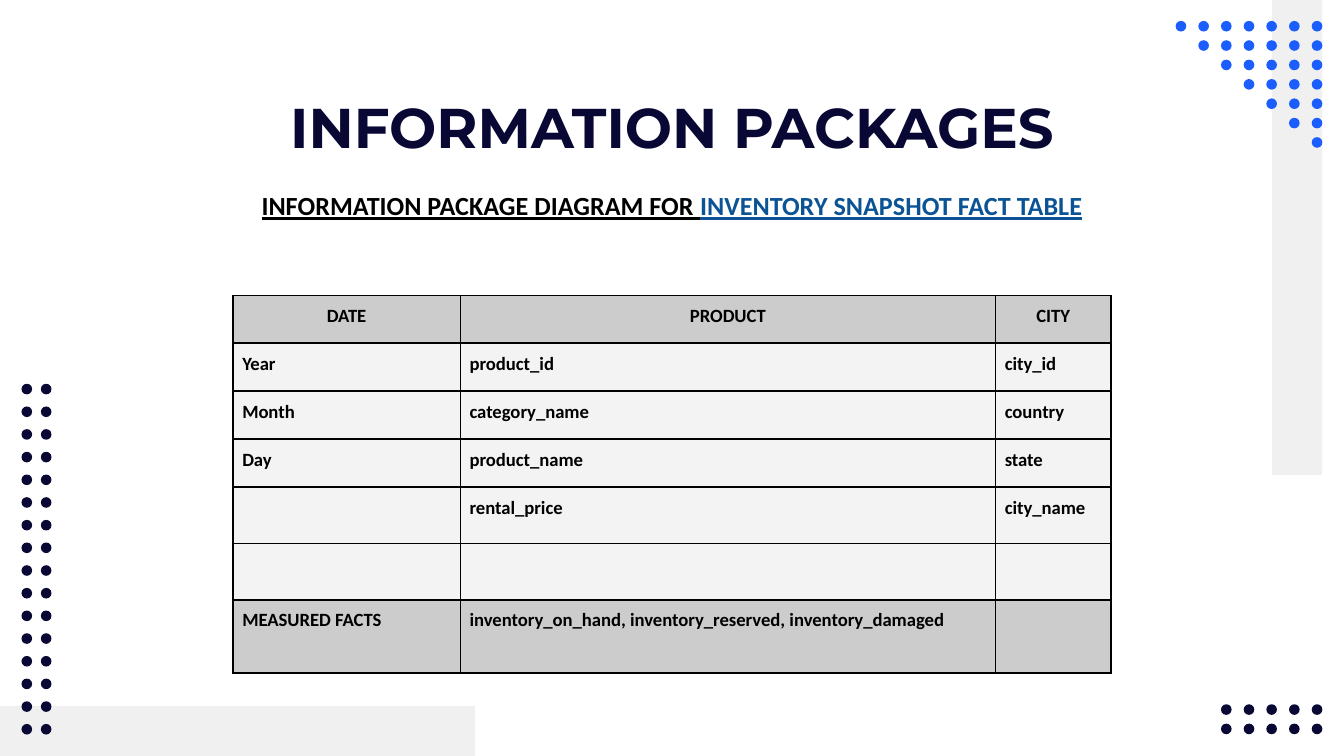
from lxml import etree
from pptx import Presentation
from pptx.dml.color import RGBColor
from pptx.enum.shapes import MSO_SHAPE as Shape
from pptx.enum.text import MSO_ANCHOR as Anchor, MSO_AUTO_SIZE as AutoSize, PP_ALIGN as Align
from pptx.oxml import parse_xml
from pptx.oxml.ns import nsdecls
from pptx.util import Pt

COLORS = {
    "navy": "090835", "blue": "1C5DFD", "bar": "F0F0F0", "black": "000000",
    "link": "0B5394", "band": "CCCCCC", "row": "F3F3F3",
}


def add_decor(kind, left, top, width, height, color):
    shape = slide.shapes.add_shape(kind, Pt(left), Pt(top), Pt(width), Pt(height))
    shape.shadow.inherit = False
    shape.fill.solid()
    shape.fill.fore_color.rgb = RGBColor.from_string(COLORS[color])
    shape.line.fill.background()


def style_run(run, font_name, size, color):
    run.font.name = font_name
    run.font.size = Pt(size)
    run.font.bold = True
    run.font.color.rgb = RGBColor.from_string(COLORS[color])


prs = Presentation()
prs.slide_width, prs.slide_height = Pt(720), Pt(405)
slide = prs.slides.add_slide(prs.slide_layouts[5])

# Grey bars along the bottom and right edges
add_decor(Shape.RECTANGLE, 0, 378.2, 254.4, 26.8, "bar")
add_decor(Shape.RECTANGLE, 681.5, 0, 26.8, 254.4, "bar")

# Dot patterns: a blue triangle, a left column pair and a corner block
DOT, WIDE, NARROW = 5.7, 12.15, 10.38
dots = [(629.8 + col * WIDE, 11.2 + row * NARROW, "blue")
        for row in range(7) for col in range(row, 7)]
dots += [(11.5 + col * NARROW, 205.6 + row * WIDE, "navy")
         for row in range(16) for col in range(2)]
dots += [(654.1 + col * WIDE, 377.3 + row * NARROW, "navy")
         for row in range(2) for col in range(5)]
for left, top, color in dots:
    add_decor(Shape.OVAL, left, top, DOT, DOT, color)

# Title
title = slide.shapes.title
title.left, title.top, title.width, title.height = Pt(56.7), Pt(42.5), Pt(606.6), Pt(45)
heading = title.text_frame
heading.text = "INFORMATION PACKAGES"
heading.auto_size = AutoSize.NONE
heading.vertical_anchor = Anchor.TOP
heading.margin_top = heading.margin_bottom = Pt(7.2)
heading.paragraphs[0].alignment = Align.CENTER
style_run(heading.paragraphs[0].runs[0], "Montserrat", 30, "navy")

# Subtitle
subtitle = slide.shapes.add_textbox(Pt(117.4), Pt(87.3), Pt(485.2), Pt(45)).text_frame
subtitle.word_wrap = True
subtitle.vertical_anchor = Anchor.MIDDLE
subtitle.paragraphs[0].alignment = Align.CENTER
for text, color in (("INFORMATION PACKAGE DIAGRAM FOR ", "black"),
                    ("INVENTORY SNAPSHOT FACT TABLE", "link")):
    run = subtitle.paragraphs[0].add_run()
    run.text = text
    style_run(run, "Calibri", 14, color)
    run.font.underline = True

# Information package table
package_rows = [
    ("DATE", "PRODUCT", "CITY"),
    ("Year", "product_id", "city_id"),
    ("Month", "category_name", "country"),
    ("Day", "product_name", "state"),
    ("", "rental_price", "city_name"),
    ("", "", ""),
    ("MEASURED FACTS", "inventory_on_hand, inventory_reserved, inventory_damaged", ""),
]
column_widths = [121.8, 286.7, 61.9]
row_heights = [25.7] * 4 + [30.2] * 2 + [39.2]
package = slide.shapes.add_table(
    len(package_rows), len(column_widths), Pt(124.8), Pt(158.2),
    Pt(sum(column_widths)), Pt(sum(row_heights))).table
package.first_row = package.horz_banding = False
for column, width in zip(package.columns, column_widths):
    column.width = Pt(width)

for r, (texts, height) in enumerate(zip(package_rows, row_heights)):
    package.rows[r].height = Pt(height)
    for c, text in enumerate(texts):
        cell = package.cell(r, c)
        properties = cell._tc.get_or_add_tcPr()
        for side in ("lnL", "lnR", "lnT", "lnB"):
            border = parse_xml(f'<a:{side} {nsdecls("a")} w="{Pt(1)}"/>')
            properties.append(border)
            fill = etree.SubElement(border, border.tag.replace(side, "solidFill"))
            etree.SubElement(fill, border.tag.replace(side, "srgbClr"), val=COLORS["black"])
        cell.fill.solid()
        shade = "band" if r in (0, len(package_rows) - 1) else "row"
        cell.fill.fore_color.rgb = RGBColor.from_string(COLORS[shade])
        if text:
            cell.margin_left = cell.margin_right = Pt(5)
            cell.margin_top = cell.margin_bottom = Pt(5)
            cell.text_frame.text = text
            paragraph = cell.text_frame.paragraphs[0]
            paragraph.alignment = Align.CENTER if r == 0 else Align.LEFT
            style_run(paragraph.runs[0], "Calibri", 10, "black")

prs.save("out.pptx")
